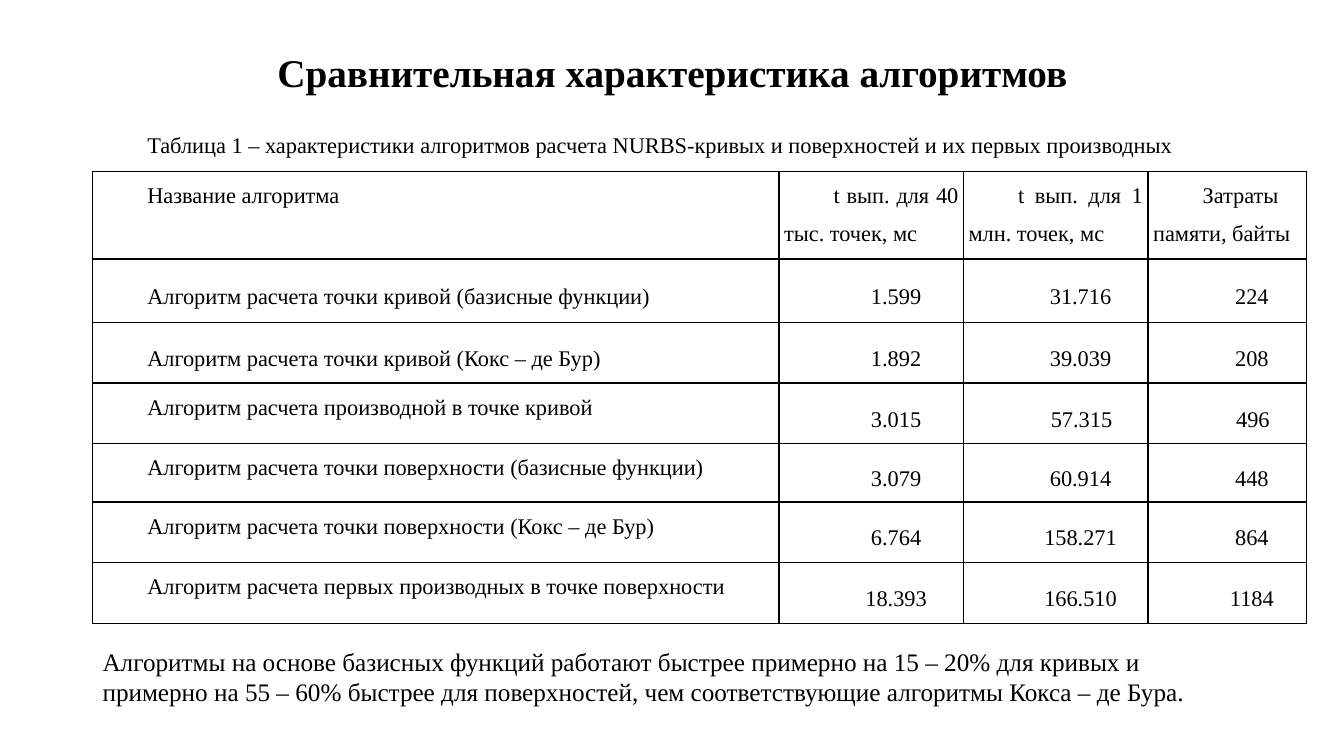
from dataclasses import dataclass

from lxml import etree
from pptx import Presentation
from pptx.dml.color import RGBColor
from pptx.enum.text import MSO_ANCHOR, PP_ALIGN
from pptx.oxml.ns import qn
from pptx.util import Pt

LEFT, CENTER, JUSTIFY = PP_ALIGN.LEFT, PP_ALIGN.CENTER, PP_ALIGN.JUSTIFY
TOP, MIDDLE = MSO_ANCHOR.TOP, MSO_ANCHOR.MIDDLE


@dataclass(frozen=True)
class Theme:
    font: str = "Times New Roman"
    ink: str = "000000"
    paper: str = "FFFFFF"
    title_size: float = 28
    note_size: float = 18
    table_size: float = 16
    first_line: float = 35.4
    cell_inset: float = 3.6
    border: float = 1


TITLE = "Сравнительная характеристика алгоритмов"
CAPTION = (
    "Таблица 1 – характеристики алгоритмов расчета NURBS-кривых "
    "и поверхностей и их первых производных"
)
NOTE = (
    "Алгоритмы на основе базисных функций работают быстрее примерно на 15 – 20% "
    "для кривых и примерно на 55 – 60% быстрее для поверхностей, "
    "чем соответствующие алгоритмы Кокса – де Бура."
)
HEADER = [
    "Название алгоритма",
    "t вып. для 40 тыс. точек, мс",
    "t вып. для 1 млн. точек, мс",
    "Затраты памяти, байты",
]
CURVE_POINT_ROWS = [
    ["Алгоритм расчета точки кривой (базисные функции)", "1.599", "31.716", "224"],
    ["Алгоритм расчета точки кривой (Кокс – де Бур)", "1.892", "39.039", "208"],
]
OTHER_ROWS = [
    ["Алгоритм расчета производной в точке кривой", "3.015", "57.315", "496"],
    ["Алгоритм расчета точки поверхности (базисные функции)", "3.079", "60.914", "448"],
    ["Алгоритм расчета точки поверхности (Кокс – де Бур)", "6.764", "158.271", "864"],
    ["Алгоритм расчета первых производных в точке поверхности", "18.393", "166.510", "1184"],
]
COLUMN_WIDTHS = [490.3, 131.8, 131.8, 113]
ROW_HEIGHTS = [44.6, 62.6, 45.4, 43.2, 43.2, 41.8, 43.2, 43.9]
SHIFTED_VALUES = {"57.315", "496"}


def write_text(frame, text, theme, size, bold=False, align=LEFT, anchor=TOP,
               spacing=1.0, first_line=0, margin=0):
    frame.word_wrap = True
    frame.vertical_anchor = anchor
    paragraph = frame.paragraphs[0]
    paragraph.alignment = align
    paragraph.line_spacing = spacing
    properties = paragraph._p.get_or_add_pPr()
    properties.set("marL", str(Pt(margin)))
    properties.set("indent", str(Pt(first_line)))
    run = paragraph.add_run()
    run.text = text
    run.font.name = theme.font
    run.font.size = Pt(size)
    run.font.bold = bold
    run.font.color.rgb = RGBColor.from_string(theme.ink)


class SlideBuilder:
    def __init__(self, slide, theme):
        self.slide = slide
        self.theme = theme
        slide.background.fill.solid()
        slide.background.fill.fore_color.rgb = RGBColor.from_string(theme.paper)

    def text_box(self, text, left, top, width, height, **text_format):
        box = self.slide.shapes.add_textbox(Pt(left), Pt(top), Pt(width), Pt(height))
        write_text(box.text_frame, text, self.theme, **text_format)

    def table(self, left, top, column_widths, row_heights):
        frame = self.slide.shapes.add_table(
            len(row_heights), len(column_widths), Pt(left), Pt(top),
            Pt(sum(column_widths)), Pt(sum(row_heights)))
        for column, width in zip(frame.table.columns, column_widths):
            column.width = Pt(width)
        for row, height in zip(frame.table.rows, row_heights):
            row.height = Pt(height)
        return frame.table

    def borders(self, cell, visible_sides):
        properties = cell._tc.get_or_add_tcPr()
        for position, side in enumerate("LRTB"):
            line = etree.Element(qn(f"a:ln{side}"), w=str(Pt(self.theme.border)))
            if side in visible_sides:
                fill = etree.SubElement(line, qn("a:solidFill"))
                etree.SubElement(fill, qn("a:srgbClr"), val=self.theme.ink)
            else:
                etree.SubElement(line, qn("a:noFill"))
            properties.insert(position, line)

    def cell(self, cell, text, visible_sides="LRTB", **text_format):
        cell.fill.background()
        self.borders(cell, visible_sides)
        cell.margin_left = cell.margin_right = Pt(self.theme.cell_inset)
        cell.margin_top = cell.margin_bottom = 0
        anchor = text_format.pop("anchor", TOP)
        if text:
            write_text(cell.text_frame, text, self.theme, self.theme.table_size,
                       spacing=1.5, first_line=self.theme.first_line, **text_format)
        cell.vertical_anchor = anchor


def fill_table(builder, table):
    table.cell(0, 0).merge(table.cell(0, len(HEADER) - 1))
    for column in range(len(HEADER)):
        builder.cell(table.cell(0, column), "" if column else CAPTION, "B", anchor=MIDDLE)
    for column, label in enumerate(HEADER):
        builder.cell(table.cell(1, column), label, align=JUSTIFY)
    for row, (name, *values) in enumerate(CURVE_POINT_ROWS + OTHER_ROWS, start=2):
        if row < 2 + len(CURVE_POINT_ROWS):
            builder.cell(table.cell(row, 0), name, anchor=MIDDLE)
        else:
            builder.cell(table.cell(row, 0), name, align=JUSTIFY)
        for column, value in enumerate(values, start=1):
            builder.cell(table.cell(row, column), value, align=CENTER, anchor=MIDDLE,
                         margin=1.4 if value in SHIFTED_VALUES else 0)


def main():
    presentation = Presentation()
    presentation.slide_width, presentation.slide_height = Pt(960), Pt(540)
    theme = Theme()
    slide = presentation.slides.add_slide(presentation.slide_layouts[6])
    builder = SlideBuilder(slide, theme)
    builder.text_box(TITLE, 66.2, 28.8, 828, 49, size=theme.title_size, bold=True,
                     align=CENTER, anchor=MIDDLE, spacing=0.9)
    fill_table(builder, builder.table(66.2, 77.8, COLUMN_WIDTHS, ROW_HEIGHTS))
    builder.text_box(NOTE, 66.2, 457.9, 813.6, 51, size=theme.note_size)
    presentation.save("out.pptx")


if __name__ == "__main__":
    main()
